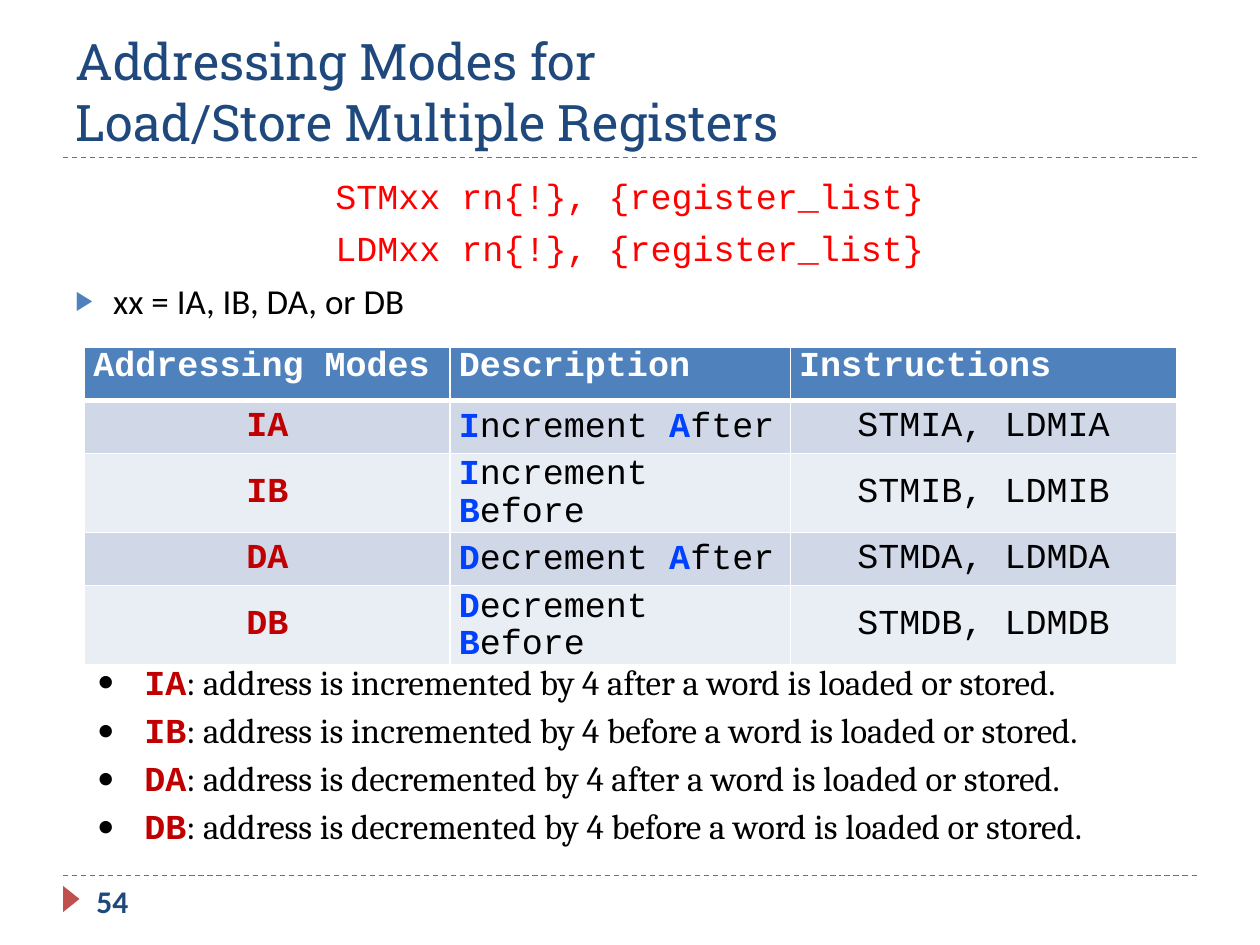
from pptx import Presentation
from pptx.dml.color import RGBColor
from pptx.enum.dml import MSO_LINE
from pptx.enum.shapes import MSO_CONNECTOR, MSO_SHAPE
from pptx.enum.text import MSO_ANCHOR, PP_ALIGN
from pptx.oxml.ns import qn
from pptx.util import Pt
from lxml import etree

DASH = MSO_LINE.DASH
STRAIGHT = MSO_CONNECTOR.STRAIGHT
TRIANGLE = MSO_SHAPE.ISOSCELES_TRIANGLE
TOP, MIDDLE, BOTTOM = MSO_ANCHOR.TOP, MSO_ANCHOR.MIDDLE, MSO_ANCHOR.BOTTOM
LEFT, CENTER, JUSTIFY = PP_ALIGN.LEFT, PP_ALIGN.CENTER, PP_ALIGN.JUSTIFY

TITLE = "Addressing Modes for\nLoad/Store Multiple Registers"
SYNTAX = ["STMxx rn{!}, {register_list}", "LDMxx rn{!}, {register_list}"]
SUFFIXES = "xx = IA, IB, DA, or DB"
HEADINGS = ["Addressing Modes", "Description", "Instructions"]
MODES = [
    ("IA", "Increment After", "STMIA, LDMIA",
     ": address is incremented by 4 after a word is loaded or stored."),
    ("IB", "Increment Before", "STMIB, LDMIB",
     ": address is incremented by 4 before a word is loaded or stored."),
    ("DA", "Decrement After", "STMDA, LDMDA",
     ": address is decremented by 4 after a word is loaded or stored."),
    ("DB", "Decrement Before", "STMDB, LDMDB",
     ": address is decremented by 4 before a word is loaded or stored."),
]
PAGE_NUMBER = "54"

THEME = {
    "navy": "1F497D", "brick": "C0504D", "blue": "4F81BD", "red": "FF0000",
    "mode": "C00000", "initial": "0041FF", "black": "000000", "white": "FFFFFF",
    "bands": ["D0D8E8", "E9EDF4"],
    "title_size": 28.8, "text_size": 20, "number_size": 18,
    "title_font": "Roboto Slab", "sans": "Calibri", "serif": "Cambria",
    "code": "Courier New",
}
MODE_STYLE = {"color": THEME["mode"], "bold": True}
TABLE_COLUMNS = [208.8, 194.4, 221]
ROW_HEIGHT = 30.4


def rgb(value):
    return RGBColor.from_string(value)


def add_text(para, text, font=THEME["code"], size=THEME["text_size"],
             color=THEME["black"], bold=False):
    for index, line in enumerate(text.split("\n")):
        if index:
            para.add_line_break()
        span = para.add_run()
        span.text = line
        span.font.name = font
        span.font.size = Pt(size)
        span.font.bold = bold
        span.font.color.rgb = rgb(color)


def add_box(page, left, top, width, height, anchor=TOP):
    frame = page.shapes.add_textbox(Pt(left), Pt(top), Pt(width), Pt(height)).text_frame
    frame.word_wrap = True
    frame.vertical_anchor = anchor
    return frame


def next_para(frame, index):
    return frame.paragraphs[0] if index == 0 else frame.add_paragraph()


def set_bullet(para, char, color, indent, percent=100):
    props = para._p.get_or_add_pPr()
    props.set("marL", str(Pt(indent)))
    props.set("indent", str(-Pt(indent)))
    bullet_color = etree.SubElement(props, qn("a:buClr"))
    etree.SubElement(bullet_color, qn("a:srgbClr"), val=color)
    etree.SubElement(props, qn("a:buSzPct"), val=str(percent * 1000))
    etree.SubElement(props, qn("a:buFont"), typeface=THEME["sans"])
    etree.SubElement(props, qn("a:buChar"), char=char)


def add_rule(page, y):
    rule = page.shapes.add_connector(STRAIGHT, Pt(36), Pt(y), Pt(684), Pt(y))
    rule.line.color.rgb = rgb(THEME["brick"])
    rule.line.width = Pt(0.75)
    rule.line.dash_style = DASH
    etree.SubElement(rule._element.spPr, qn("a:effectLst"))


def format_cell(cell, fill, anchor, bottom_width=1):
    cell.margin_left = cell.margin_right = Pt(5)
    cell.margin_top = cell.margin_bottom = 0
    cell.vertical_anchor = anchor
    props = cell._tc.get_or_add_tcPr()
    for side, width in (("L", 1), ("R", 1), ("T", 1), ("B", bottom_width)):
        border = etree.SubElement(props, qn(f"a:ln{side}"), w=str(Pt(width)))
        solid = etree.SubElement(border, qn("a:solidFill"))
        etree.SubElement(solid, qn("a:srgbClr"), val=THEME["white"])
    cell.fill.solid()
    cell.fill.fore_color.rgb = rgb(fill)


def add_description(para, text):
    """Write the text with the first letter of each word highlighted."""
    para.line_spacing = 0.94
    words = text.split()
    for index, word in enumerate(words):
        add_text(para, word[0], color=THEME["initial"], bold=True)
        gap = " " if index < len(words) - 1 else ""
        add_text(para, word[1:] + gap)


def add_mode_table(page):
    rows = len(MODES) + 1
    table = page.shapes.add_table(
        rows, len(HEADINGS), Pt(48.4), Pt(198.4),
        Pt(sum(TABLE_COLUMNS)), Pt(rows * ROW_HEIGHT)).table
    for column, width in zip(table.columns, TABLE_COLUMNS):
        column.width = Pt(width)
    for row in table.rows:
        row.height = Pt(ROW_HEIGHT)
    for cell, heading in zip(table.rows[0].cells, HEADINGS):
        format_cell(cell, THEME["blue"], TOP, bottom_width=3)
        para = cell.text_frame.paragraphs[0]
        para.alignment = JUSTIFY
        add_text(para, heading, color=THEME["white"], bold=True)
    for index, (mode, description, instructions, _) in enumerate(MODES):
        cells = list(table.rows[index + 1].cells)
        paras = [cell.text_frame.paragraphs[0] for cell in cells]
        for cell, para, alignment in zip(cells, paras, (CENTER, LEFT, CENTER)):
            format_cell(cell, THEME["bands"][index % 2], MIDDLE)
            para.alignment = alignment
        add_text(paras[0], mode, **MODE_STYLE)
        add_description(paras[1], description)
        add_text(paras[2], instructions)


def add_footer(page):
    marker = page.shapes.add_shape(TRIANGLE, Pt(33.2), Pt(509), Pt(15), Pt(9.4))
    marker.rotation = 90
    marker.shadow.inherit = False
    marker.fill.solid()
    marker.fill.fore_color.rgb = rgb(THEME["brick"])
    marker.line.fill.background()
    frame = add_box(page, 48, 500.4, 156, 28.8, MIDDLE)
    add_text(frame.paragraphs[0], PAGE_NUMBER, font=THEME["sans"],
             size=THEME["number_size"], color=THEME["navy"], bold=True)


def add_syntax(page):
    frame = add_box(page, 36, 96, 648, 388.8)
    for index, text in enumerate(SYNTAX + [SUFFIXES]):
        para = next_para(frame, index)
        if index:
            para.space_before = Pt(6)
        if text == SUFFIXES:
            set_bullet(para, "▶", THEME["blue"], 21.6, percent=76)
            add_text(para, text, font=THEME["sans"])
        else:
            para.alignment = CENTER
            add_text(para, text, color=THEME["red"])


def add_explanations(page):
    frame = add_box(page, 48.4, 370, 649.4, 118.8)
    for index, (mode, _, _, meaning) in enumerate(MODES):
        para = next_para(frame, index)
        para.line_spacing = 1.15
        set_bullet(para, "•", THEME["black"], 27)
        add_text(para, mode, **MODE_STYLE)
        add_text(para, meaning, font=THEME["serif"])


def main():
    deck = Presentation()
    deck.slide_width, deck.slide_height = Pt(720), Pt(540)
    page = deck.slides.add_slide(deck.slide_layouts[6])
    for y in (500.4, 90):
        add_rule(page, y)
    title = add_box(page, 36, 12.2, 648, 77.8, BOTTOM)
    add_text(title.paragraphs[0], TITLE, font=THEME["title_font"],
             size=THEME["title_size"], color=THEME["navy"])
    add_footer(page)
    add_syntax(page)
    add_mode_table(page)
    add_explanations(page)
    deck.save("out.pptx")


if __name__ == "__main__":
    main()
